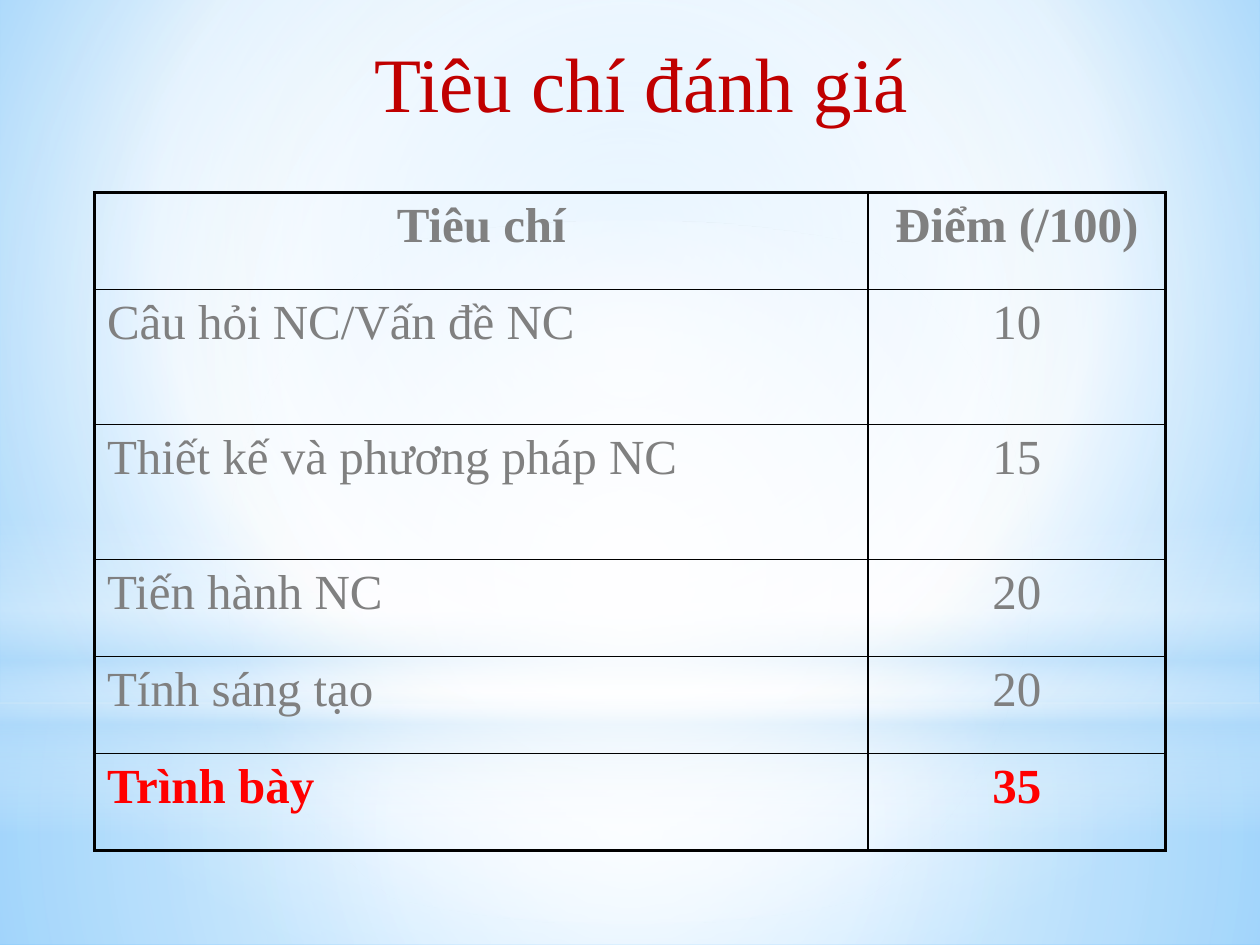
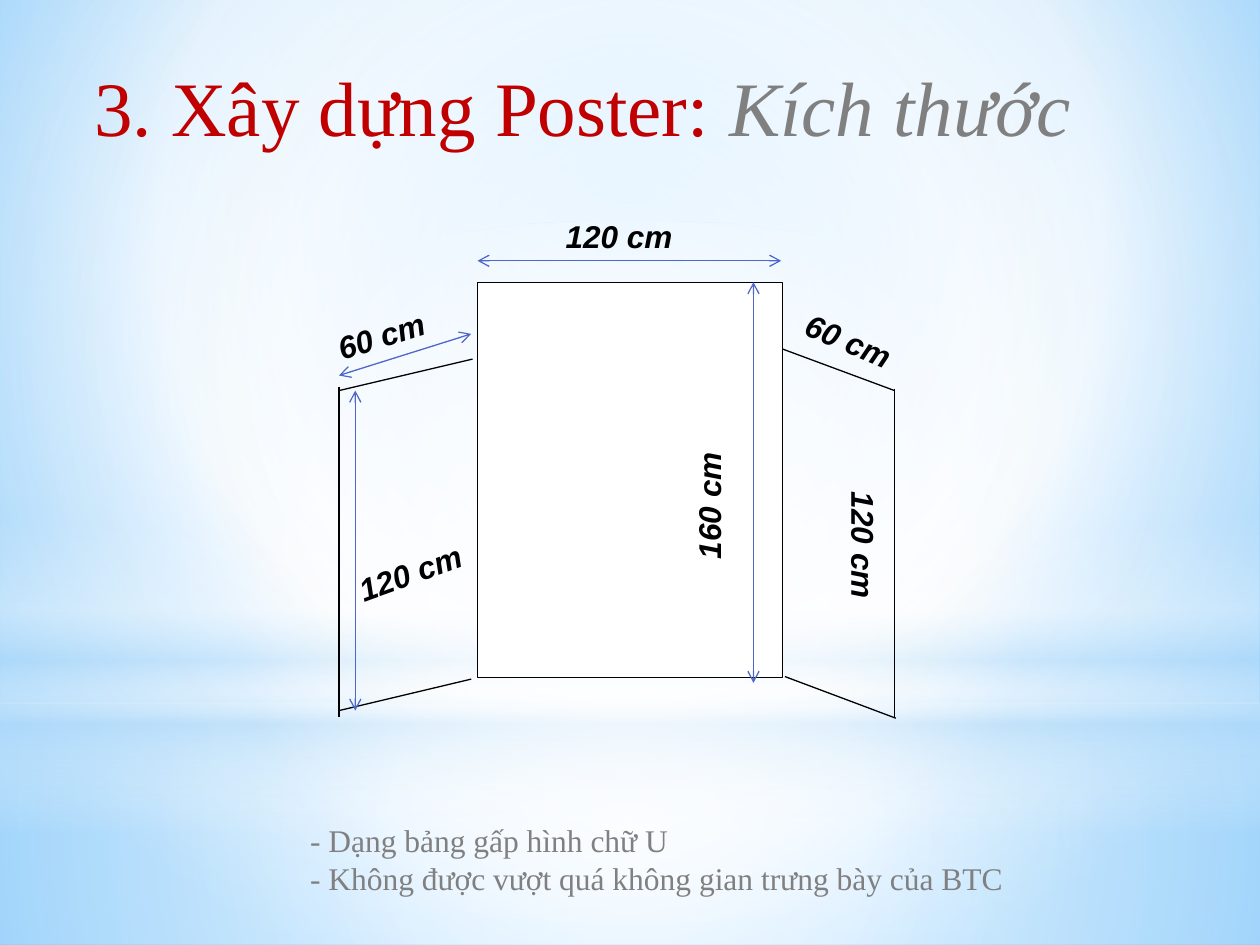
from lxml import etree
from pptx import Presentation, util as u
from pptx.dml.color import RGBColor
from pptx.enum import shapes, text
from pptx.oxml import parse_xml
from pptx.oxml.ns import nsdecls, qn

SERIF, SANS = "Times New Roman", "Arial"
RED, BRIGHT_RED, GRAY = "C00000", "FF0000", "808080"
BLACK, WHITE, BLUE, PALE = "000000", "FFFFFF", "4E67C8", "B4DCFA"
CENTER = (50, 50, 50, 50)

# Stops are (position %, colour, opacity %); focus is the centre rectangle of a
# circular gradient, and None makes a vertical linear one.
BACKDROP = [(0, "9ED5FF", 100), (60, WHITE, 100), (100, "5BB9FF", 100)]
FLOOR = [(0, WHITE, 91), (37, WHITE, 76), (100, PALE, 79)]
WALL = [(0, WHITE, 89), (48, WHITE, 62), (100, PALE, 79)]
HORIZON = [(0, WHITE, 0), (29, WHITE, 30), (45, PALE, 40),
           (55, WHITE, 26), (65, PALE, 60), (100, WHITE, 0)]
GLOW = [(0, WHITE, 100), (56, WHITE, 0)]
RECT, OVAL = shapes.MSO_SHAPE.RECTANGLE, shapes.MSO_SHAPE.OVAL
BANDS = [(RECT, 5.58, 1.92, FLOOR, CENTER), (RECT, 0, 5.58, WALL, CENTER),
         (RECT, 4.12, 2.5, HORIZON, None), (OVAL, 1.75, 5.58, GLOW, CENTER)]


def rgb(color):
    return RGBColor.from_string(color)


def gradient(stops, focus):
    gs = "".join(
        f'<a:gs pos="{pos * 1000}"><a:srgbClr val="{color}">'
        f'<a:alpha val="{alpha * 1000}"/></a:srgbClr></a:gs>'
        for pos, color, alpha in stops)
    if focus:
        sides = " ".join(f'{k}="{v * 1000}"' for k, v in zip("ltrb", focus))
        shade = f'<a:path path="circle"><a:fillToRect {sides}/></a:path>'
    else:
        shade = '<a:lin ang="5400000" scaled="0"/>'
    return parse_xml(f'<a:gradFill {nsdecls("a")} rotWithShape="1">'
                     f'<a:gsLst>{gs}</a:gsLst>{shade}</a:gradFill>')


def swap_solid_fill(parent, stops, focus):
    """Put a gradient where the parent element has a solid fill."""
    parent.replace(parent.find(qn("a:solidFill")), gradient(stops, focus))


class Deck:
    """Holds the presentation, its style and the current slide."""

    def __init__(self):
        self.prs = Presentation()
        self.prs.slide_width, self.prs.slide_height = u.Inches(10), u.Inches(7.5)
        self.s = None

    def new_slide(self):
        self.s = self.prs.slides.add_slide(self.prs.slide_layouts[6])
        self.s.background.fill.solid()
        swap_solid_fill(self.s.element.find(".//" + qn("p:bgPr")),
                        BACKDROP, (20, 10, 20, 60))
        for kind, top, height, stops, focus in BANDS:
            sp = self.shape(kind, 0, top, 10, height)
            swap_solid_fill(sp.element.spPr, stops, focus)

    def shape(self, kind, x, y, w, h, line=None):
        sp = self.s.shapes.add_shape(kind, *map(u.Inches, (x, y, w, h)))
        sp.shadow.inherit = False
        sp.fill.solid()
        sp.fill.fore_color.rgb = rgb(WHITE)
        if line:
            sp.line.color.rgb = rgb(line)
            sp.line.width = u.Pt(0.75)
        else:
            sp.line.fill.background()
        return sp

    def line(self, x1, y1, x2, y2, color=BLACK):
        cn = self.s.shapes.add_connector(
            shapes.MSO_CONNECTOR.STRAIGHT, *map(u.Inches, (x1, y1, x2, y2)))
        cn.line.color.rgb = rgb(color)
        cn.line.width = u.Pt(0.75)
        etree.SubElement(cn.element.spPr, qn("a:effectLst"))
        return cn

    def dimension(self, *ends):
        """Draw a blue line with an open arrowhead at both ends."""
        ln = self.line(*ends, color=BLUE).element.spPr.find(qn("a:ln"))
        for end in ("a:headEnd", "a:tailEnd"):
            etree.SubElement(ln, qn(end), type="arrow")

    def run(self, p, words, size, color, font=SERIF, bold=False, italic=False):
        r = p.add_run()
        r.text = words
        r.font.name, r.font.size = font, u.Pt(size)
        r.font.bold, r.font.italic = bold, italic
        r.font.color.rgb = rgb(color)

    def frame(self, x, y, w, h, wrap=False, rotation=0):
        sp = self.s.shapes.add_textbox(*map(u.Inches, (x, y, w, h)))
        sp.rotation = rotation
        sp.text_frame.word_wrap = wrap
        return sp.text_frame

    def title(self, x, y, w, h, words, subtitle="", centered=False):
        tf = self.frame(x, y, w, h, wrap=True)
        p = tf.paragraphs[0]
        if centered:
            tf.vertical_anchor = text.MSO_ANCHOR.MIDDLE
            p.alignment = text.PP_ALIGN.CENTER
        self.run(p, words, 44, RED)
        if subtitle:
            self.run(p, subtitle, 44, GRAY, italic=True)

    def label(self, x, y, w, words, rotation=0):
        tf = self.frame(x, y, w, 0.4, rotation=rotation)
        self.run(tf.paragraphs[0], words, 18, BLACK, SANS, True, True)

    def remarks(self, x, y, w, h, lines):
        tf = self.frame(x, y, w, h)
        for i, words in enumerate(lines):
            p = tf.add_paragraph() if i else tf.paragraphs[0]
            self.run(p, words, 18, GRAY)

    def border(self, cell, side, width):
        ln = etree.SubElement(cell._tc.get_or_add_tcPr(), qn("a:ln" + side),
                              w=str(u.Pt(width)))
        fill = etree.SubElement(ln, qn("a:solidFill"))
        etree.SubElement(fill, qn("a:srgbClr"), val=BLACK)

    def table(self, x, y, widths, heights, rows):
        """Draw a grid with a thick frame, bold first row and red last row."""
        last_row, last_col = len(rows) - 1, len(widths) - 1
        tbl = self.s.shapes.add_table(
            len(rows), len(widths), u.Inches(x), u.Inches(y),
            u.Inches(sum(widths)), u.Inches(sum(heights))).table
        tbl.horz_banding = tbl.first_row = False
        for column, width in zip(tbl.columns, widths):
            column.width = u.Inches(width)
        for i, (height, row) in enumerate(zip(heights, rows)):
            tbl.rows[i].height = u.Inches(height)
            for j, words in enumerate(row):
                cell = tbl.cell(i, j)
                outer = {"L": j == 0, "R": j == last_col,
                         "T": i == 0, "B": i == last_row}
                for side, thick in outer.items():
                    self.border(cell, side, 2.25 if thick else 1)
                cell.fill.background()
                p = cell.text_frame.paragraphs[0]
                if i == 0 or j > 0:
                    p.alignment = text.PP_ALIGN.CENTER
                self.run(p, words, 28, BRIGHT_RED if i == last_row else GRAY,
                         bold=i in (0, last_row))


def criteria_slide(deck):
    deck.new_slide()
    deck.title(0.59, 0.21, 9, 0.87, "Tiêu chí đánh giá", centered=True)
    deck.table(0.75, 1.53, [6.14, 2.36], [0.77, 1.07, 1.07, 0.77, 0.77, 0.77], [
        ("Tiêu chí", "Điểm (/100)"),
        ("Câu hỏi NC/Vấn đề NC", "10"),
        ("Thiết kế và phương pháp NC", "15"),
        ("Tiến hành NC", "20"),
        ("Tính sáng tạo", "20"),
        ("Trình bày", "35")])


def poster_size_slide(deck):
    deck.new_slide()
    deck.shape(RECT, 3.79, 2.24, 2.42, 3.14, line=BLACK)
    right_wing = [(6.21, 2.77, 7.1, 3.1), (7.1, 3.09, 7.1, 5.7),
                  (6.23, 5.37, 7.11, 5.7)]
    left_wing = [(2.69, 3.1, 3.75, 2.85), (2.69, 5.64, 3.74, 5.39),
                 (2.69, 3.07, 2.69, 5.69)]
    for edge in right_wing + left_wing:
        deck.line(*edge)
    deck.title(0.65, 0.42, 7.95, 0.84, "3. Xây dựng Poster: ", "Kích thước")
    for ends in [(5.98, 2.24, 5.98, 5.42), (3.79, 2.07, 6.2, 2.07),
                 (2.69, 2.98, 3.74, 2.65), (2.82, 3.1, 2.82, 5.64)]:
        deck.dimension(*ends)
    for label in [(5.06, 3.77, 1.13, "160 cm", 270),
                  (4.39, 1.67, 1.13, "120 cm"),
                  (2.57, 2.45, 0.99, "60 cm", 342.4),
                  (2.73, 4.33, 1.13, "120 cm", 340.2),
                  (6.28, 2.52, 0.99, "60 cm", 22.8),
                  (6.29, 4.17, 1.13, "120 cm", 90)]:
        deck.label(*label)
    deck.remarks(2.3, 6.47, 5.82, 1.01, [
        " - Dạng bảng gấp hình chữ U",
        " - Không được vượt quá không gian trưng bày của BTC"])


def main():
    deck = Deck()
    criteria_slide(deck)
    poster_size_slide(deck)
    deck.prs.save("out.pptx")


if __name__ == "__main__":
    main()
